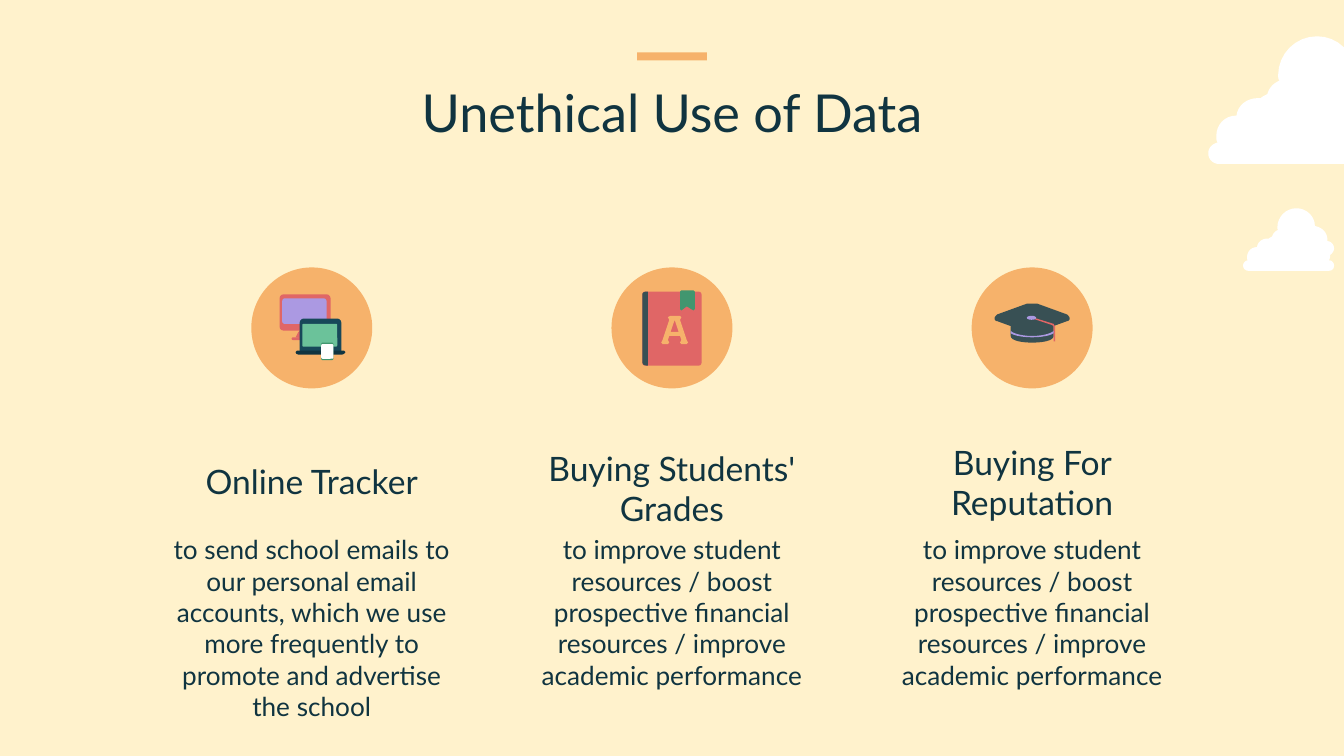
from dataclasses import dataclass
from typing import Optional

from pptx import Presentation
from pptx.dml.color import RGBColor
from pptx.enum import shapes, text
from pptx.util import Inches, Pt

FONT = "Lato"
INK, ORANGE, RED, LILAC = "103440", "F6B26B", "E06666", "AB99E2"
NAVY, SLATE, MINT, GREEN, WHITE = "174859", "385054", "6BC29A", "41966F", "FFFFFF"
KIND = shapes.MSO_SHAPE
BODY = "to improve student resources / boost prospective financial resources / improve academic performance"


@dataclass
class Column:
    heading: str
    body: str
    head_top: float
    head_height: float
    head_width: float = 2.27


@dataclass
class Block:
    kind: int
    left: float
    top: float
    width: float
    height: float
    color: str
    radius: Optional[float] = None


@dataclass
class Outline:
    color: str
    contours: list


COLUMNS = [
    Column("Online Tracker",
           "to send school emails to our personal email accounts, which we use "
           "more frequently to promote and advertise the school", 3.27, 0.56),
    Column("Buying Students' Grades", BODY, 3.54, 0.49),
    Column("Buying For Reputation", BODY, 3.36, 0.63, 1.87),
]

CLOUD = [
    (0.81, 0), (0.65, 0, 0.52, 0.13, 0.52, 0.29), (0.52, 0.3, 0.52, 0.32, 0.53, 0.33),
    (0.48, 0.35, 0.45, 0.39, 0.44, 0.43), (0.42, 0.44, 0.4, 0.45, 0.39, 0.46),
    (0.38, 0.46, 0.38, 0.46, 0.37, 0.46), (0.29, 0.46, 0.22, 0.51, 0.21, 0.59),
    (0.12, 0.59, 0.06, 0.66, 0.06, 0.74), (0.06, 0.76, 0.06, 0.78, 0.07, 0.79),
    (0.03, 0.8, 0, 0.83, 0, 0.87), (0, 0.92, 0.04, 0.95, 0.08, 0.95), (1.3, 0.95),
    (1.35, 0.95, 1.38, 0.92, 1.38, 0.87), (1.38, 0.83, 1.35, 0.79, 1.3, 0.79),
    (1.31, 0.78, 1.32, 0.76, 1.32, 0.73), (1.32, 0.73, 1.32, 0.72, 1.32, 0.71),
    (1.35, 0.69, 1.38, 0.65, 1.38, 0.61), (1.38, 0.55, 1.33, 0.5, 1.28, 0.5),
    (1.28, 0.49, 1.28, 0.49, 1.28, 0.48), (1.28, 0.37, 1.2, 0.29, 1.09, 0.27),
    (1.09, 0.12, 0.96, 0, 0.81, 0),
]

COMPUTERS = [
    Outline(RED, [[(2.27, 2.44), (2.22, 2.47), (2.2, 2.51), (2.27, 2.52), (2.34, 2.51), (2.32, 2.47)]]),
    Block(KIND.ROUNDED_RECTANGLE, 2.08, 2.19, 0.38, 0.27, RED, 0.03),
    Block(KIND.ROUNDED_RECTANGLE, 2.17, 2.51, 0.19, 0.02, RED, 0.01),
    Block(KIND.ROUNDED_RECTANGLE, 2.1, 2.22, 0.33, 0.19, LILAC, 0.02),
    Block(KIND.ROUND_2_SAME_RECTANGLE, 2.23, 2.37, 0.31, 0.25, NAVY, 0.03),
    Block(KIND.ROUNDED_RECTANGLE, 2.25, 2.41, 0.26, 0.17, MINT, 0.01),
    Outline(INK, [[(2.21, 2.61), (2.2, 2.62), (2.2, 2.63, 2.21, 2.64, 2.23, 2.64), (2.54, 2.64),
                   (2.55, 2.64, 2.57, 2.63, 2.57, 2.62), (2.56, 2.61)]]),
    Block(KIND.ROUNDED_RECTANGLE, 2.39, 2.55, 0.09, 0.13, GREEN, 0.01),
    Block(KIND.ROUNDED_RECTANGLE, 2.39, 2.56, 0.09, 0.11, WHITE, 0.01),
]

GRADE_BOOK = [
    Block(KIND.ROUNDED_RECTANGLE, 4.78, 2.17, 0.44, 0.55, RED, 0.02),
    Outline(SLATE, [[(4.82, 2.17), (4.81, 2.17), (4.79, 2.17, 4.78, 2.18, 4.78, 2.19), (4.78, 2.69),
                     (4.78, 2.71, 4.79, 2.72, 4.81, 2.72), (4.82, 2.72)]]),
    Outline(GREEN, [[(5.07, 2.16), (5.06, 2.17), (5.06, 2.3), (5.07, 2.31), (5.11, 2.28),
                     (5.16, 2.31), (5.17, 2.3), (5.17, 2.17), (5.16, 2.16)]]),
    Outline(ORANGE, [
        [(4.99, 2.35), (4.97, 2.36), (4.98, 2.38), (4.93, 2.53), (4.92, 2.55), (4.93, 2.56),
         (4.97, 2.56), (4.98, 2.55), (4.97, 2.53), (4.98, 2.5), (5.06, 2.5), (5.07, 2.53),
         (5.06, 2.55), (5.07, 2.56), (5.11, 2.56), (5.12, 2.55), (5.11, 2.53), (5.06, 2.38),
         (5.07, 2.36), (5.06, 2.35)],
        [(5.02, 2.38), (5.05, 2.47), (4.99, 2.47)]]),
]

GRADUATION_CAP = [
    Outline(SLATE, [[(7.83, 2.38), (7.53, 2.42), (7.52, 2.43), (7.52, 2.5),
                     (7.52, 2.54, 7.62, 2.55, 7.68, 2.55), (7.74, 2.55, 7.84, 2.54, 7.84, 2.5),
                     (7.84, 2.39)]]),
    Outline(SLATE, [[(7.68, 2.26), (7.67, 2.26, 7.65, 2.26, 7.64, 2.26), (7.42, 2.34),
                     (7.41, 2.35, 7.4, 2.36, 7.4, 2.37), (7.4, 2.38, 7.41, 2.39, 7.42, 2.39),
                     (7.64, 2.47), (7.65, 2.47, 7.7, 2.47, 7.72, 2.47), (7.94, 2.39),
                     (7.95, 2.39, 7.96, 2.38, 7.96, 2.37), (7.96, 2.36, 7.95, 2.35, 7.94, 2.34),
                     (7.72, 2.26)]]),
    Outline(RED, [[(7.68, 2.35), (7.67, 2.36), (7.68, 2.37), (7.83, 2.42), (7.84, 2.43),
                   (7.84, 2.55), (7.85, 2.56), (7.85, 2.43), (7.84, 2.41), (7.68, 2.36)]]),
    Block(KIND.ROUNDED_RECTANGLE, 7.83, 2.54, 0.03, 0.08, ORANGE, 0.01),
    Outline(LILAC, [[(7.52, 2.46), (7.52, 2.48), (7.55, 2.5, 7.62, 2.51, 7.68, 2.51),
                     (7.74, 2.51, 7.81, 2.5, 7.84, 2.48), (7.84, 2.46),
                     (7.84, 2.47, 7.78, 2.5, 7.68, 2.5), (7.58, 2.5, 7.52, 2.47, 7.52, 2.46)]]),
    Block(KIND.OVAL, 7.64, 2.35, 0.07, 0.03, LILAC),
]


def rgb(value: str) -> RGBColor:
    return RGBColor.from_string(value)


def paint(s, color: str) -> None:
    s.shadow.inherit = False
    s.fill.solid()
    s.fill.fore_color.rgb = rgb(color)
    s.line.fill.background()


def add_block(sp, b: Block) -> None:
    s = sp.add_shape(b.kind, Inches(b.left), Inches(b.top), Inches(b.width), Inches(b.height))
    if b.radius is not None:
        s.adjustments[0] = min(0.5, b.radius / min(b.width, b.height))
    paint(s, b.color)


def flatten(contour: list, steps: int = 8) -> list:
    points = [contour[0]]
    for segment in contour[1:]:
        if len(segment) == 2:
            points.append(segment)
            continue
        x0, y0 = points[-1]
        x1, y1, x2, y2, x3, y3 = segment
        for i in range(1, steps + 1):
            t = i / steps
            a, b, c, d = (1 - t) ** 3, 3 * t * (1 - t) ** 2, 3 * t * t * (1 - t), t ** 3
            points.append((a * x0 + b * x1 + c * x2 + d * x3, a * y0 + b * y1 + c * y2 + d * y3))
    return points


def add_outline(sp, o: Outline, left: float = 0, top: float = 0, scale: float = 1) -> None:
    builder = None
    for contour in o.contours:
        points = [(Inches(left + x * scale), Inches(top + y * scale)) for x, y in flatten(contour)]
        if builder is None:
            builder = sp.build_freeform(*points[0])
        else:
            builder.move_to(*points[0])
        builder.add_line_segments(points[1:], close=True)
    paint(builder.convert_to_shape(), o.color)


def write(s, words: str, size: int, anchor=text.MSO_ANCHOR.TOP) -> None:
    tf = s.text_frame
    tf.text = words
    tf.word_wrap = True
    tf.auto_size = text.MSO_AUTO_SIZE.NONE
    tf.vertical_anchor = anchor
    tf.margin_left = tf.margin_right = tf.margin_top = tf.margin_bottom = Inches(0.1)
    p = tf.paragraphs[0]
    p.alignment = text.PP_ALIGN.CENTER
    r = p.runs[0]
    r.font.name, r.font.size, r.font.color.rgb = FONT, Pt(size), rgb(INK)


def add_text(sp, center: float, top: float, width: float, height: float, words: str, size: int,
             anchor=text.MSO_ANCHOR.TOP) -> None:
    s = sp.add_textbox(Inches(center - width / 2), Inches(top), Inches(width), Inches(height))
    write(s, words, size, anchor)


def main() -> None:
    prs = Presentation()
    prs.slide_width = Inches(10)
    prs.slide_height = prs.slide_width * 9 // 16
    slide = prs.slides.add_slide(prs.slide_layouts[5])
    slide.background.fill.solid()
    slide.background.fill.fore_color.rgb = rgb("FFF2CC")
    sp = slide.shapes

    cloud = Outline(WHITE, [CLOUD])
    add_outline(sp, cloud, 9.25, 1.55, 0.49)
    add_outline(sp, cloud, 8.99, 0.27)

    title = sp.title
    title.left, title.top, title.width, title.height = Inches(0.34), Inches(0.5), Inches(9.32), Inches(0.63)
    write(title, "Unethical Use of Data", 28)
    add_block(sp, Block(KIND.RECTANGLE, 4.74, 0.39, 0.52, 0.06, ORANGE))

    for i, (column, icon) in enumerate(zip(COLUMNS, (COMPUTERS, GRADE_BOOK, GRADUATION_CAP))):
        center = 2.32 + 2.68 * i
        add_text(sp, center, column.head_top, column.head_width, column.head_height,
                 column.heading, 18, text.MSO_ANCHOR.BOTTOM)
        add_text(sp, center, 3.87, 2.27, 0.73, column.body, 14)
        add_block(sp, Block(KIND.OVAL, center - 0.45, 1.99, 0.9, 0.9, ORANGE))
        for part in icon:
            if isinstance(part, Block):
                add_block(sp, part)
            else:
                add_outline(sp, part)

    prs.save("out.pptx")


if __name__ == "__main__":
    main()
